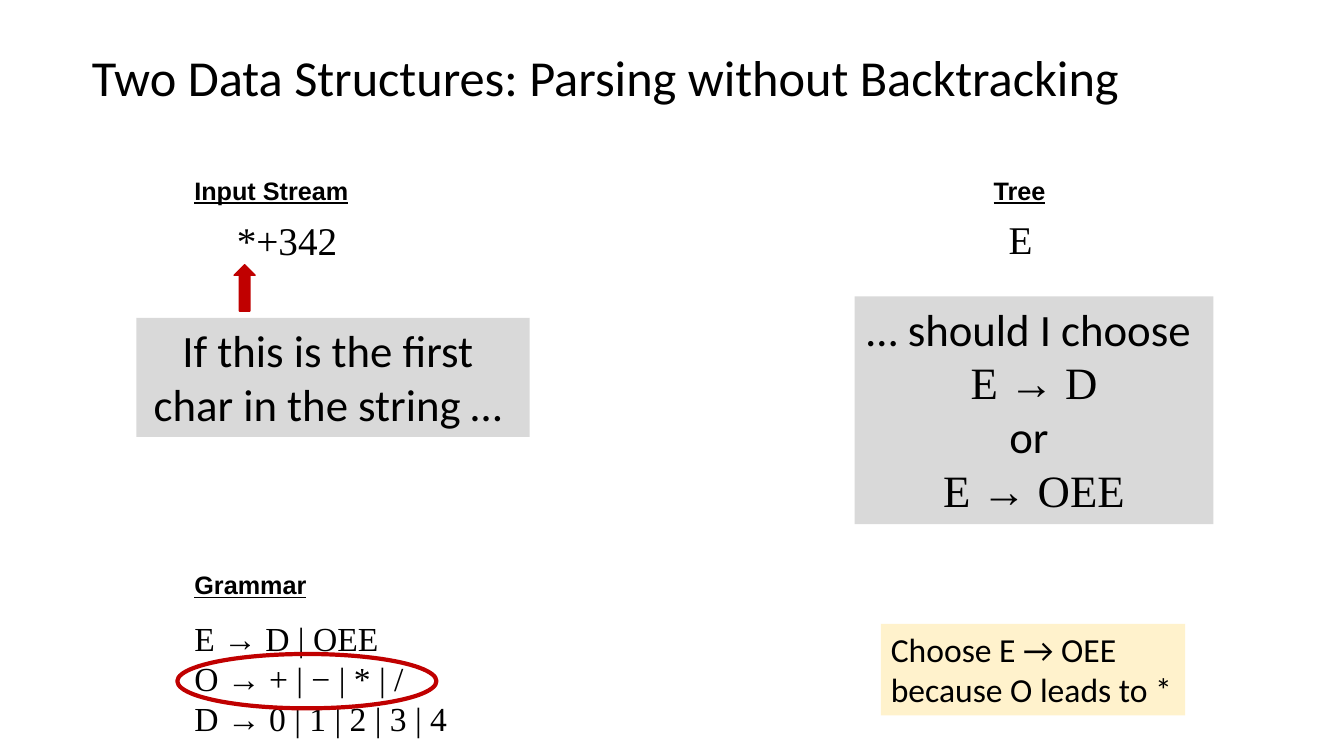
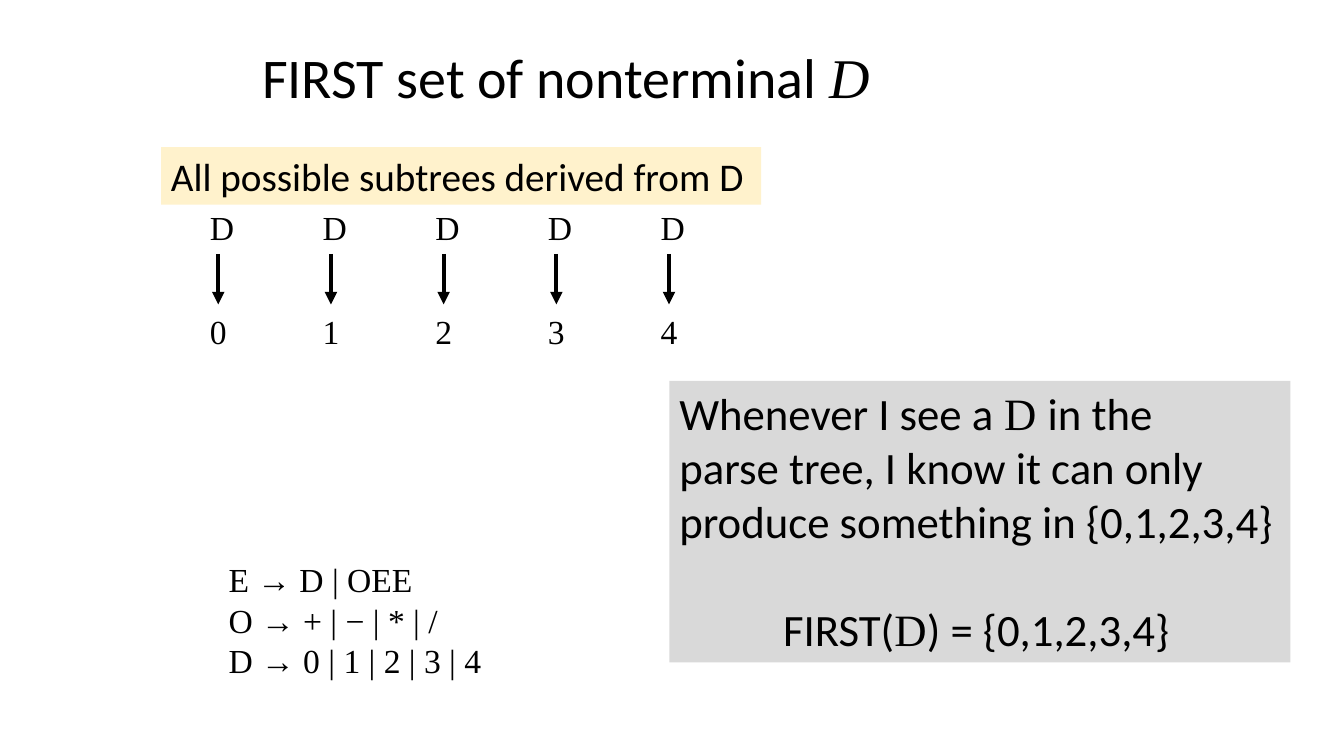
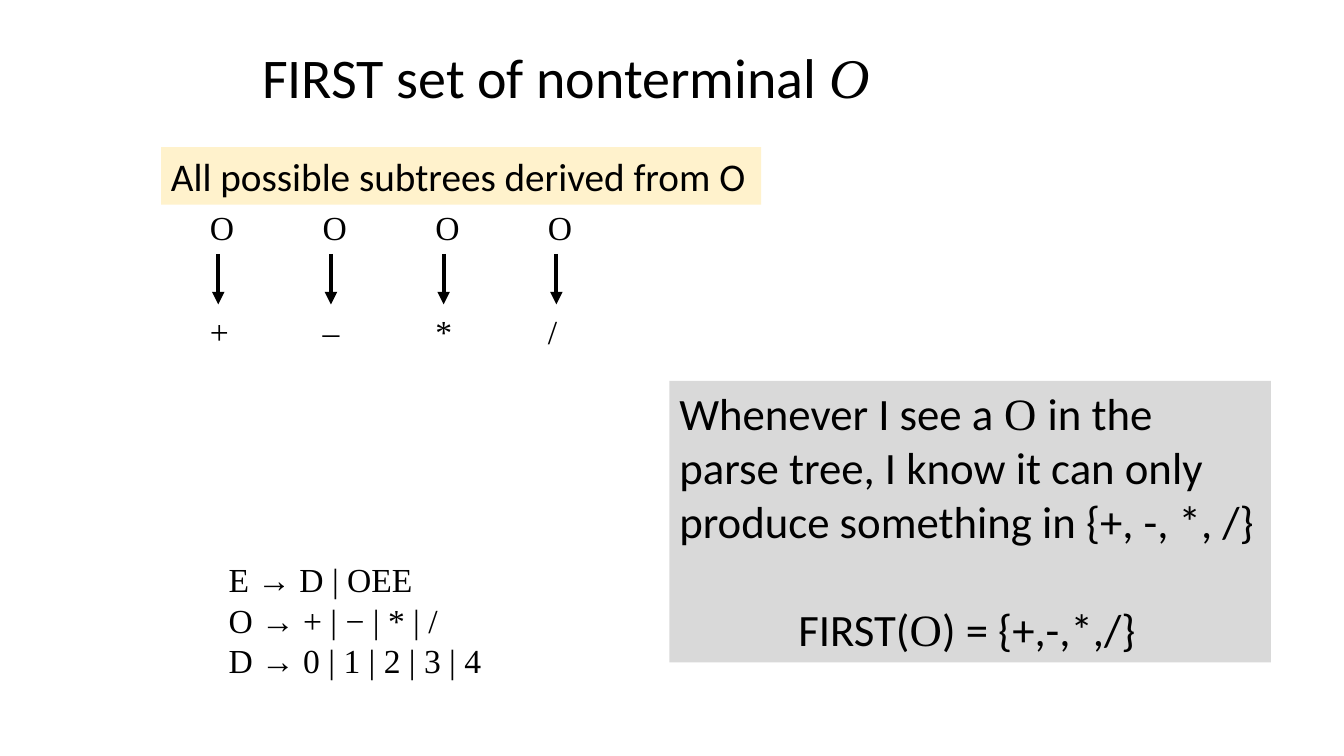
from dataclasses import dataclass

from lxml import etree
from pptx import Presentation
from pptx.dml.color import RGBColor
from pptx.enum import shapes, text
from pptx.oxml import ns
from pptx.util import Cm, Pt


@dataclass(frozen=True)
class Theme:
    ink: str = "000000"
    red: str = "C00000"
    grey: str = "D9D9D9"
    cream: str = "FFF2CC"
    sans: str = "Calibri"
    math: str = "Times New Roman"
    head: str = "Arial"
    label: int = 18
    rule: int = 24
    input: int = 28
    note: int = 32
    title: int = 40
    stroke: int = 3


T = Theme()
RULES = ["E → D | OEE", "O → + | − | * | /", "D → 0 | 1 | 2 | 3 | 4"]


def rgb(code):
    return RGBColor.from_string(code)


def style(run, size, face):
    font = run.font
    font.size, font.name = Pt(size), face
    font.color.rgb = rgb(T.ink)
    return font


def write(para, line, size, face):
    """Fill a paragraph; pieces between underscores take the math font."""
    for i, piece in enumerate(line.split("_")):
        if piece:
            run = para.add_run()
            run.text = piece
            style(run, size, T.math if i % 2 else face)


def add_text(slide, box, lines, size, face=T.sans, fill=None,
             wrap=False, center=False):
    shape = slide.shapes.add_textbox(*map(Cm, box))
    frame = shape.text_frame
    frame.word_wrap = wrap
    frame.auto_size = text.MSO_AUTO_SIZE.SHAPE_TO_FIT_TEXT
    if fill:
        shape.fill.solid()
        shape.fill.fore_color.rgb = rgb(fill)
    for i, line in enumerate(lines):
        para = frame.add_paragraph() if i else frame.paragraphs[0]
        if center:
            para.alignment = text.PP_ALIGN.CENTER
        write(para, line, size, face)
    return frame


def add_label(slide, box, name):
    frame = add_text(slide, box, [name], T.label, T.head)
    font = frame.paragraphs[0].runs[0].font
    font.bold = font.underline = True


def add_rules(slide, left, top):
    add_text(slide, (left, top, 7.42, 3.33), RULES, T.rule, T.math, wrap=True)


def add_mark(slide, kind, box, width, fill=None):
    """Draw a red preset shape, hollow unless a fill is given."""
    shape = slide.shapes.add_shape(kind, *map(Cm, box))
    shape.shadow.inherit = False
    if fill:
        shape.fill.solid()
        shape.fill.fore_color.rgb = rgb(fill)
    else:
        shape.fill.background()
    shape.line.color.rgb = rgb(T.red)
    shape.line.width = Pt(width)


def add_arrow(slide, x, top, end):
    line = slide.shapes.add_connector(
        shapes.MSO_CONNECTOR.STRAIGHT, Cm(x), Cm(top), Cm(x), Cm(end))
    line.line.color.rgb = rgb(T.ink)
    line.line.width = Pt(T.stroke)
    props = line.element.spPr
    etree.SubElement(props.find(ns.qn("a:ln")), ns.qn("a:tailEnd"),
                     type="triangle")
    etree.SubElement(props, ns.qn("a:effectLst"))


def add_slide(deck, title, left, width, size=T.title):
    slide = deck.slides.add_slide(deck.slide_layouts[5])
    head = slide.shapes.title
    head.left, head.top = Cm(left), Cm(0.43)
    head.width, head.height = Cm(width), Cm(3.18)
    frame = head.text_frame
    frame.auto_size = text.MSO_AUTO_SIZE.NONE
    frame.vertical_anchor = text.MSO_ANCHOR.MIDDLE
    para = frame.paragraphs[0]
    para.alignment = text.PP_ALIGN.LEFT
    para.line_spacing = 0.9
    write(para, title, size, T.sans)
    for run in para.runs:
        if run.font.name == T.math:
            run.font.italic = True
    return slide


def parse_slide(deck):
    slide = add_slide(
        deck, "Two Data Structures: Parsing without Backtracking",
        2.06, 27.51, 36)
    add_rules(slide, 4.65, 15.44)
    add_label(slide, (4.65, 4.29, 4.42, 1.02), "Input Stream")
    add_label(slide, (24.79, 4.29, 1.83, 1.02), "Tree")
    add_label(slide, (4.65, 14.22, 3.35, 1.02), "Grammar")
    add_text(slide, (5.72, 5.33, 3.05, 1.45), ["*+342"], T.input, T.math)
    add_text(slide, (25.17, 5.31, 1.12, 1.45), ["E"], T.input, T.math)
    add_mark(slide, shapes.MSO_SHAPE.UP_ARROW,
             (5.9, 6.67, 0.53, 1.17), 1, T.red)
    add_text(slide, (3.44, 8.01, 9.91, 3),
             ["If this is the first ", "char in the string … "],
             T.note, fill=T.grey, center=True)
    add_text(slide, (21.54, 7.47, 9.04, 5.74),
             ["… should I choose ", "_E → D_", "or ", "_E → OEE_"],
             T.note, fill=T.grey, center=True)
    add_text(slide, (22.2, 15.72, 7.67, 2.31),
             ["Choose E → OEE", "because O leads to *"],
             T.rule, fill=T.cream)
    add_mark(slide, shapes.MSO_SHAPE.OVAL,
             (4.47, 16.48, 6.53, 1.37), T.stroke)


def first_slide(deck, name, leaves, listed, result, width):
    """Show the subtrees and the FIRST set of one nonterminal."""
    slide = add_slide(deck, f"FIRST set of nonterminal _{name}_", 6.35, 21.59)
    add_rules(slide, 5.51, 13.97)
    for i, leaf in enumerate(leaves):
        x = 5.5 + 2.84 * i
        add_arrow(slide, x, 6.4, 7.67)
        for sign, top in ((name, 5.08), (leaf, 7.72)):
            add_text(slide, (x - 0.46, top, 1.15, 1.27), [sign],
                     T.rule, T.math, wrap=True)
    note = add_text(
        slide, (16.87, 9.6, width, 7.09),
        [f"Whenever I see a _{name} _in the",
         "parse tree, I know it can only",
         f"produce something in {listed}",
         f"FIRST(_{name}_) = {result}"],
        T.note, fill=T.grey)
    last = note.paragraphs[-1]
    last.alignment = text.PP_ALIGN.CENTER
    last.space_before = Pt(39)
    add_text(slide, (4.06, 3.71, 15.12, 1.45),
             [f"All possible subtrees derived from {name}"],
             T.input, fill=T.cream)


def main():
    deck = Presentation()
    deck.slide_width, deck.slide_height = Cm(33.87), Cm(19.05)
    parse_slide(deck)
    first_slide(deck, "D", "01234", "{0,1,2,3,4}", "{0,1,2,3,4}", 15.65)
    first_slide(deck, "O", "+–*/", "{+, -, *, /}", "{+,-,*,/}", 15.16)
    deck.save("out.pptx")


if __name__ == "__main__":
    main()
